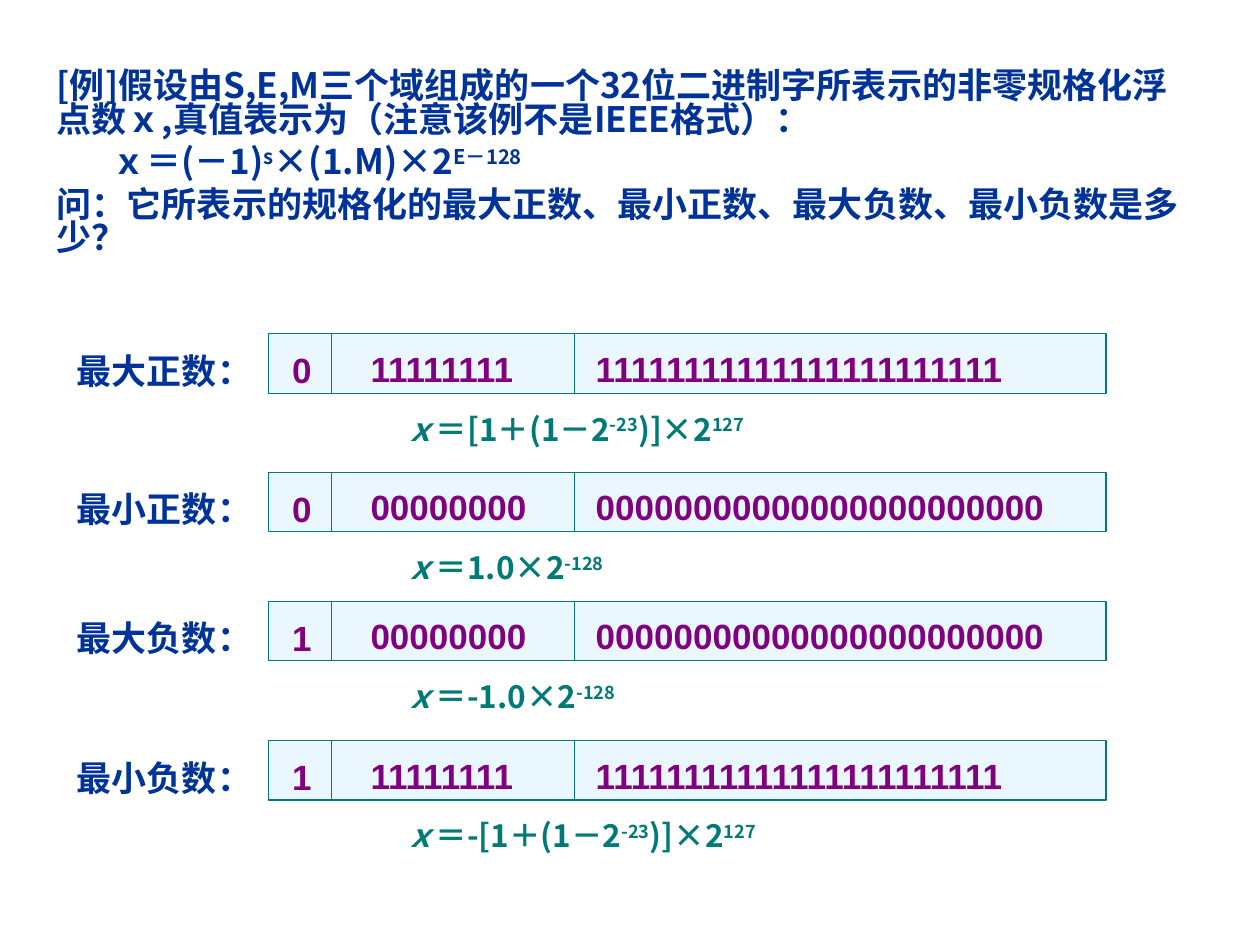
from lxml import etree
from pptx import Presentation
from pptx.dml.color import RGBColor
from pptx.enum.shapes import MSO_CONNECTOR, MSO_SHAPE
from pptx.enum.text import MSO_ANCHOR, MSO_AUTO_SIZE
from pptx.oxml.ns import qn
from pptx.util import Cm, Pt

RECTANGLE = MSO_SHAPE.RECTANGLE
STRAIGHT = MSO_CONNECTOR.STRAIGHT
TOP, MIDDLE = MSO_ANCHOR.TOP, MSO_ANCHOR.MIDDLE
NO_FIT, GROW = MSO_AUTO_SIZE.NONE, MSO_AUTO_SIZE.SHAPE_TO_FIT_TEXT

NAVY = RGBColor(0x00, 0x33, 0x99)
TEAL = RGBColor(0x00, 0x7A, 0x77)
PURPLE = RGBColor(0x80, 0x00, 0x80)
PALE_BLUE = RGBColor(0xEB, 0xF7, 0xFF)
CHINESE_FONT = "Noto Sans CJK SC"

QUESTION_FORMAT = {"name": CHINESE_FONT, "size": Pt(20), "bold": True, "color": NAVY}
LABEL_FORMAT = {**QUESTION_FORMAT, "name": "Arial"}
BITS_FORMAT = {**LABEL_FORMAT, "color": PURPLE}
FORMULA_FORMAT = {**QUESTION_FORMAT, "size": Pt(18), "color": TEAL}

# Each paragraph: left indent in cm and its runs; every second run is superscript.
QUESTION = [
    (0, ["[例]假设由S,E,M三个域组成的一个32位二进制字所表示的非零规格化浮点数ｘ,"
         "真值表示为（注意该例不是IEEE格式）："]),
    (1.1, ["ｘ＝(－1)", "s", "×(1.M)×2", "E－128"]),
    (0, ["问：它所表示的规格化的最大正数、最小正数、最大负数、最小负数是多少？"]),
]

# Top in cm, label, sign bit, repeated bit of the other fields, value of x
NUMBERS = [
    (6.73, "最大正数：", "0", "1", ["＝[1＋(1－2", "-23", ")]×2", "127"]),
    (9.52, "最小正数：", "0", "0", ["＝1.0×2", "-128"]),
    (12.12, "最大负数：", "1", "0", ["＝-1.0×2", "-128"]),
    (14.93, "最小负数：", "1", "1", ["＝-[1＋(1－2", "-23", ")]×2", "127"]),
]
EXPONENT_BITS, MANTISSA_BITS = 8, 23
WORD_LEFT, WORD_WIDTH, WORD_HEIGHT = 5.41, 16.89, 1.2
FIELD_EDGES = (1.27, 6.17)


def add_run(paragraph, text, text_format, superscript=False, italic=False):
    run = paragraph.add_run()
    run.text = text
    values = dict(text_format, italic=italic)
    run.font.color.rgb = values.pop("color")
    for name, value in values.items():
        setattr(run.font, name, value)
    properties = run.font._element
    east_asian = etree.SubElement(properties, qn("a:ea"))
    east_asian.set("typeface", CHINESE_FONT)
    if superscript:
        properties.set("baseline", "30000")


def add_power_runs(paragraph, texts, text_format):
    """Add runs that alternate between base line and superscript."""
    for index, text in enumerate(texts):
        add_run(paragraph, text, text_format, superscript=index % 2 == 1)


def add_text_box(shapes, left, top, width, height, anchor=TOP):
    """Add an empty text box and return its first paragraph."""
    box = shapes.add_textbox(Cm(left), Cm(top), Cm(width), Cm(height))
    frame = box.text_frame
    frame.word_wrap = True
    frame.auto_size = GROW
    frame.vertical_anchor = anchor
    return frame.paragraphs[0]


def fill_question(placeholder, left, top, width, height):
    placeholder.left, placeholder.top = Cm(left), Cm(top)
    placeholder.width, placeholder.height = Cm(width), Cm(height)
    frame = placeholder.text_frame
    frame.auto_size = NO_FIT
    frame.vertical_anchor = TOP
    for index, (indent, texts) in enumerate(QUESTION):
        paragraph = frame.add_paragraph() if index else frame.paragraphs[0]
        properties = paragraph._p.get_or_add_pPr()
        properties.set("marL", str(Cm(indent)))
        properties.set("indent", "0")
        etree.SubElement(properties, qn("a:buNone"))
        paragraph.line_spacing = 0.8
        paragraph.space_before = Pt(5 if index else 0)
        add_power_runs(paragraph, texts, QUESTION_FORMAT)


def add_word(shapes, left, top, width, height):
    """Draw the 32-bit word with lines between its three fields."""
    word = shapes.add_shape(RECTANGLE, Cm(left), Cm(top), Cm(width), Cm(height))
    word.shadow.inherit = False
    word.fill.solid()
    word.fill.fore_color.rgb = PALE_BLUE
    lines = [word.line]
    for edge in FIELD_EDGES:
        x = Cm(left + edge)
        divider = shapes.add_connector(STRAIGHT, x, Cm(top), x, Cm(top + height))
        etree.SubElement(divider._element.spPr, qn("a:effectLst"))
        lines.append(divider.line)
    for line in lines:
        line.color.rgb = TEAL
        line.width = Pt(0.75)


def add_number(slide, top, label, sign, bit, value):
    """Add one labelled word, its bits and the formula below it."""
    shapes = slide.shapes.add_group_shape().shapes
    add_word(shapes, WORD_LEFT, top, WORD_WIDTH, WORD_HEIGHT)
    texts = [
        (5.64, 0.18, 1.09, sign, BITS_FORMAT),
        (11.76, 0.15, 10.54, bit * MANTISSA_BITS, BITS_FORMAT),
        (7.22, 0.15, 4.04, bit * EXPONENT_BITS, BITS_FORMAT),
        (1.3, 0.19, 4.34, label, LABEL_FORMAT),
    ]
    for left, offset, width, text, text_format in texts:
        paragraph = add_text_box(shapes, left, top + offset, width, 1.12)
        add_run(paragraph, text, text_format)

    formula = add_text_box(slide.shapes, 7.9, top + 1.4, 9.12, 1.02, MIDDLE)
    add_run(formula, "ｘ", FORMULA_FORMAT, italic=True)
    add_power_runs(formula, value, FORMULA_FORMAT)


def main():
    presentation = Presentation()
    presentation.slide_width, presentation.slide_height = Cm(25.4), Cm(19.05)
    slide = presentation.slides.add_slide(presentation.slide_layouts[1])
    title = slide.shapes.title._element
    title.getparent().remove(title)
    fill_question(slide.placeholders[1], 0.89, 1.32, 23.22, 5)
    for number in NUMBERS:
        add_number(slide, *number)
    presentation.save("out.pptx")


if __name__ == "__main__":
    main()
